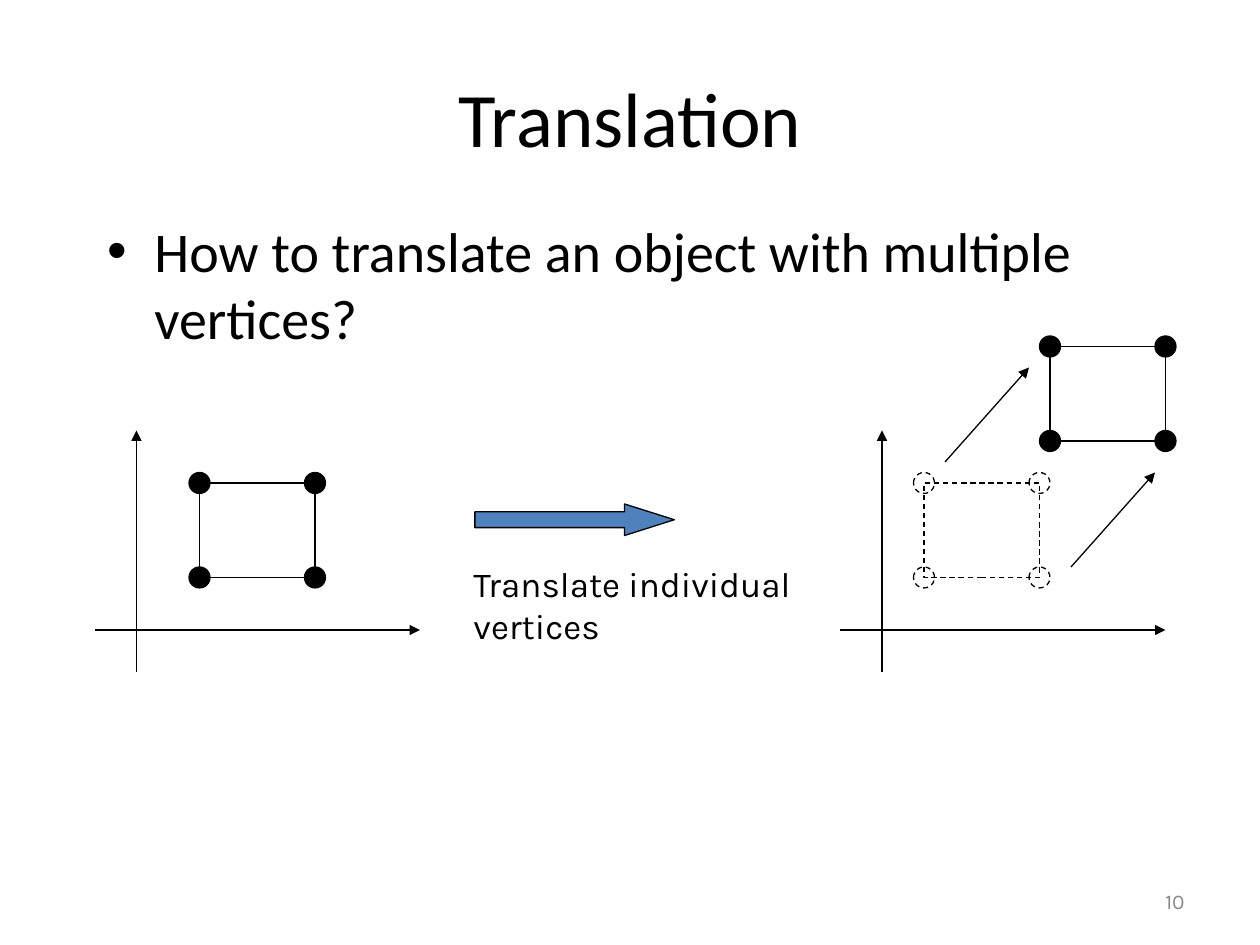
from lxml import etree
from pptx import Presentation
from pptx.dml.color import RGBColor
from pptx.enum import dml, shapes, text
from pptx.oxml.ns import qn
from pptx.util import Pt

THEME = {
    "black": RGBColor(0x00, 0x00, 0x00),
    "blue": RGBColor(0x4F, 0x81, 0xBD),
    "grey": RGBColor(0x89, 0x89, 0x89),
    "heading_font": "Calibri",
    "label_font": "Karla",
    "title": 44,
    "body": 32,
    "label": 20,
    "number": 12,
    "line": 0.75,
}

# Content: boxes are left, top, width, height; lines are start x, y, end x, y
TITLE = ("Translation", (36, 21.6, 648, 90))
QUESTION = ("How to translate an object with multiple vertices?", (54, 120, 612, 324))
LABEL = (["Translate individual", "vertices"], (263.5, 318, 199, 55))
PAGE_NUMBER = ("10", (516, 500.5, 168, 28.75))
BLOCK_ARROW = (271.4, 288, 114, 18)

AXES_LEFTS = [54, 480]
AXES_BASELINE = 360
AXES_OVERHANG = 24
AXES_WIDTH, AXES_TOP = 186, 246

SQUARE_SIZE = (66, 54)
DOT = 12
SQUARES = [  # left, top, dashed
    (114, 276, False),
    (600, 198, False),
    (528, 276, True),
]
MOVE_STARTS = [(540, 264), (612, 324)]
MOVE = (48, -54)


def points(values):
    return [Pt(value) for value in values]


def place(shape, box):
    for name, value in zip(("left", "top", "width", "height"), box):
        setattr(shape, name, Pt(value))


def style_line(line, dashed=False):
    line.color.rgb = THEME["black"]
    line.width = Pt(THEME["line"])
    if dashed:
        line.dash_style = dml.MSO_LINE.DASH


def write(shape, lines, font, size, color="black", align=None, **frame_format):
    frame = shape.text_frame
    for name, value in frame_format.items():
        setattr(frame, name, value)
    frame.text = "\n".join(lines)
    for paragraph in frame.paragraphs:
        paragraph.alignment = align
        paragraph.space_before = Pt(0)
        values = {"name": THEME[font], "size": Pt(THEME[size])}
        for run in paragraph.runs:
            for name, value in values.items():
                setattr(run.font, name, value)
            run.font.color.rgb = THEME[color]


def add_outline(slide, kind, box, fill=None, dashed=False):
    shape = slide.shapes.add_shape(kind, *points(box))
    shape.shadow.inherit = False
    if fill:
        shape.fill.solid()
        shape.fill.fore_color.rgb = THEME[fill]
    else:
        shape.fill.background()
    style_line(shape.line, dashed)
    return shape


def add_arrow(slide, *ends):
    arrow = slide.shapes.add_connector(shapes.MSO_CONNECTOR.STRAIGHT, *points(ends))
    style_line(arrow.line)
    properties = arrow._element.spPr
    etree.SubElement(properties.find(qn("a:ln")), qn("a:tailEnd"), type="triangle")
    etree.SubElement(properties, qn("a:effectLst"))


def add_axes(slide, left):
    origin = left + AXES_OVERHANG
    add_arrow(slide, left, AXES_BASELINE, left + AXES_WIDTH, AXES_BASELINE)
    add_arrow(slide, origin, AXES_BASELINE + AXES_OVERHANG, origin, AXES_TOP)


def add_square(slide, left, top, dashed):
    """Draw a rectangle with a dot centred on each vertex."""
    width, height = SQUARE_SIZE
    add_outline(slide, shapes.MSO_SHAPE.RECTANGLE, (left, top, width, height), dashed=dashed)
    for y in (top + height, top):
        for x in (left, left + width):
            add_outline(slide, shapes.MSO_SHAPE.OVAL,
                        (x - DOT / 2, y - DOT / 2, DOT, DOT),
                        None if dashed else "black", dashed)


def main():
    presentation = Presentation()
    presentation.slide_width, presentation.slide_height = Pt(720), Pt(540)
    slide = presentation.slides.add_slide(presentation.slide_layouts[1])

    title, body = slide.placeholders
    for shape, (wording, box) in ((title, TITLE), (body, QUESTION)):
        place(shape, box)
    middle = text.MSO_ANCHOR.MIDDLE
    write(title, [TITLE[0]], "heading_font", "title",
          align=text.PP_ALIGN.CENTER, vertical_anchor=middle)
    write(body, [QUESTION[0]], "heading_font", "body")

    number = slide.shapes.add_textbox(*points(PAGE_NUMBER[1]))
    write(number, [PAGE_NUMBER[0]], "label_font", "number", "grey",
          text.PP_ALIGN.RIGHT, word_wrap=True, vertical_anchor=middle)

    for left in AXES_LEFTS:
        add_axes(slide, left)
    for square in SQUARES:
        add_square(slide, *square)
    for x, y in MOVE_STARTS:
        add_arrow(slide, x, y, x + MOVE[0], y + MOVE[1])

    block_arrow = add_outline(slide, shapes.MSO_SHAPE.RIGHT_ARROW, BLOCK_ARROW, "blue")
    block_arrow.adjustments[0] = 0.5
    block_arrow.adjustments[1] = 1.58
    label = slide.shapes.add_textbox(*points(LABEL[1]))
    write(label, LABEL[0], "label_font", "label", word_wrap=False)

    presentation.save("out.pptx")


if __name__ == "__main__":
    main()
